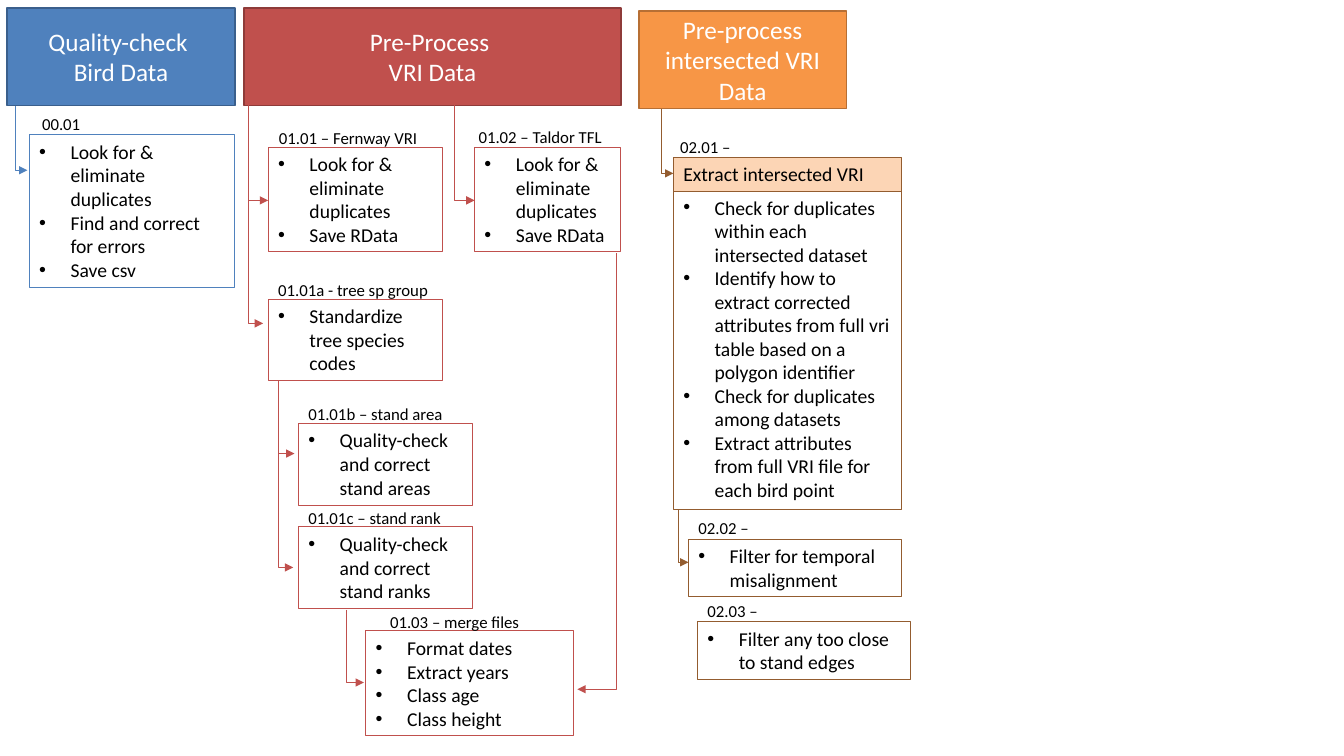
from pptx import Presentation
from pptx import util as u
from pptx.dml.color import RGBColor
from pptx.enum import shapes, text
from pptx.oxml.ns import qn
from lxml import etree

BLUE, RED, ORANGE, BROWN = "4F81BD", "C0504D", "F79646", "935C2F"
PEACH, BLACK, WHITE = "FCD5B5", "000000", "FFFFFF"

# All lengths are in centimetres: left, top, width, height
stages = [
    ("Quality-check \nBird Data", (0.18, 0.2, 5.74, 2.46), BLUE, "3A5F8C"),
    ("Pre-Process \nVRI Data", (6.15, 0.2, 9.5, 2.46), RED, "8E3B39"),
    ("Pre-process intersected VRI Data", (16.1, 0.28, 5.23, 2.46), ORANGE, "B76F34"),
]
extract_heading = ("Extract intersected VRI", (16.97, 3.96, 5.74, 0.86))

# Label, label place (left, top, width), box place, line colour, bullets
steps = [
    ("00.01", (0.81, 2.74, 1.5), (0.74, 3.4, 5.18, 3.84), BLUE,
     ["Look for & eliminate duplicates", "Find and correct for errors", "Save csv"]),
    ("01.01 – Fernway VRI", (6.78, 3.1, 4.2), (6.76, 3.71, 4.39, 2.64), RED,
     ["Look for & eliminate duplicates", "Save RData"]),
    ("01.02 – Taldor TFL", (11.81, 3.07, 3.73), (11.96, 3.71, 3.68, 2.64), RED,
     ["Look for & eliminate duplicates", "Save RData"]),
    ("01.01a - tree sp group", (6.76, 6.93, 4.34), (6.76, 7.54, 4.39, 2.06), RED,
     ["Standardize tree species codes"]),
    ("01.01b – stand area", (7.52, 10.06, 3.94), (7.52, 10.67, 4.39, 2.06), RED,
     ["Quality-check and correct stand areas"]),
    ("01.01c – stand rank", (7.52, 12.67, 3.89), (7.52, 13.28, 4.39, 2.06), RED,
     ["Quality-check and correct stand ranks"]),
    ("01.03 – merge files", (9.58, 15.29, 3.81), (9.22, 15.9, 5.23, 2.64), RED,
     ["Format dates", "Extract years", "Class age", "Class height"]),
    ("02.01 –", (16.89, 3.33, 1.91), (16.97, 4.8, 5.74, 8.03), BROWN,
     ["Check for duplicates within each intersected dataset",
      "Identify how to extract corrected attributes from full vri table "
      "based on a polygon identifier",
      "Check for duplicates among datasets",
      "Extract attributes from full VRI file for each bird point"]),
    ("02.02 –", (17.35, 12.93, 1.91), (17.35, 13.59, 5.36, 1.45), BROWN,
     ["Filter for temporal misalignment"]),
    ("02.03 –", (17.58, 15.01, 1.91), (17.58, 15.67, 5.36, 1.45), BROWN,
     ["Filter any too close to stand edges"]),
]

# Start x, start y, end x, end y; each runs down first, then sideways
arrows = [
    (0.38, 2.67, 0.69, 4.29, BLUE),
    (6.25, 3.51, 6.63, 8.15, RED),
    (6.25, 2.64, 6.76, 5.05, RED),
    (11.46, 2.64, 11.96, 5.05, RED),
    (7.01, 9.6, 7.42, 11.43, RED),
    (7.01, 9.63, 7.39, 14.3, RED),
    (8.74, 15.37, 9.17, 17.2, RED),
    (15.54, 6.38, 14.55, 17.37, RED),
    (16.66, 2.74, 16.97, 4.37, BROWN),
    (17.09, 12.85, 17.35, 14.17, BROWN),
]


def color(value):
    return RGBColor.from_string(value)


def write(frame, lines, size, ink, align=text.PP_ALIGN.LEFT):
    for number, line in enumerate(lines):
        para = frame.add_paragraph() if number else frame.paragraphs[0]
        para.text = line
        para.alignment = align
        para.font.name = "Calibri"
        para.font.size = u.Pt(size)
        para.font.color.rgb = color(ink)


def add_box(place, line, weight, fill=None):
    box = slide.shapes.add_shape(shapes.MSO_SHAPE.RECTANGLE, *map(u.Cm, place))
    box.shadow.inherit = False
    if fill:
        box.fill.solid()
        box.fill.fore_color.rgb = color(fill)
    else:
        box.fill.background()
    box.line.color.rgb = color(line)
    box.line.width = u.Pt(weight)
    box.text_frame.word_wrap = True
    box.text_frame.vertical_anchor = text.MSO_ANCHOR.TOP
    return box


def add_bullets(frame):
    for para in frame.paragraphs:
        props = para._p.get_or_add_pPr()
        props.set("marL", str(u.Cm(0.79)))
        props.set("indent", str(-u.Cm(0.79)))
        etree.SubElement(props, qn("a:buFont")).set("typeface", "Arial")
        etree.SubElement(props, qn("a:buChar")).set("char", "•")


def add_arrow(x1, y1, x2, y2, ink):
    # The bend is stored turned a quarter, so its width is the drop
    drop, run = y2 - y1, abs(x2 - x1)
    left, top = (x1 + x2 - drop) / 2, (y1 + y2 - run) / 2
    arrow = slide.shapes.add_connector(
        shapes.MSO_CONNECTOR.ELBOW,
        *map(u.Cm, (left, top, left + drop, top + run)))
    arrow.line.color.rgb = color(ink)
    arrow.line.width = u.Pt(0.5)
    props = arrow._element.spPr
    props.find(qn("a:prstGeom")).set("prst", "bentConnector2")
    frame = props.find(qn("a:xfrm"))
    if x2 > x1:
        frame.set("rot", str(270 * 60000))
        frame.set("flipH", "1")
    else:
        frame.set("rot", str(90 * 60000))
    etree.SubElement(props.find(qn("a:ln")), qn("a:tailEnd")).set("type", "triangle")
    etree.SubElement(props, qn("a:effectLst"))


deck = Presentation()
deck.slide_width, deck.slide_height = u.Cm(33.87), u.Cm(19.05)
slide = deck.slides.add_slide(deck.slide_layouts[6])

# Stage headers
for title, place, fill, edge in stages:
    header = add_box(place, edge, 1, fill)
    header.text_frame.vertical_anchor = text.MSO_ANCHOR.MIDDLE
    write(header.text_frame, [title], 18, WHITE, text.PP_ALIGN.CENTER)

# Step boxes with their labels
for label, (left, top, width), place, edge, bullets in steps:
    box = add_box(place, edge, 0.75)
    box.text_frame.auto_size = text.MSO_AUTO_SIZE.SHAPE_TO_FIT_TEXT
    write(box.text_frame, bullets, 14, BLACK)
    add_bullets(box.text_frame)
    caption = slide.shapes.add_textbox(*map(u.Cm, (left, top, width, 0.76)))
    caption.text_frame.word_wrap = False
    caption.text_frame.auto_size = text.MSO_AUTO_SIZE.SHAPE_TO_FIT_TEXT
    write(caption.text_frame, [label], 12, BLACK)

# Heading strip above the extraction steps
heading, place = extract_heading
strip = add_box(place, BROWN, 0.75, PEACH)
write(strip.text_frame, [heading], 14, BLACK)

# Arrows
for ends in arrows:
    add_arrow(*ends)

deck.save("out.pptx")
